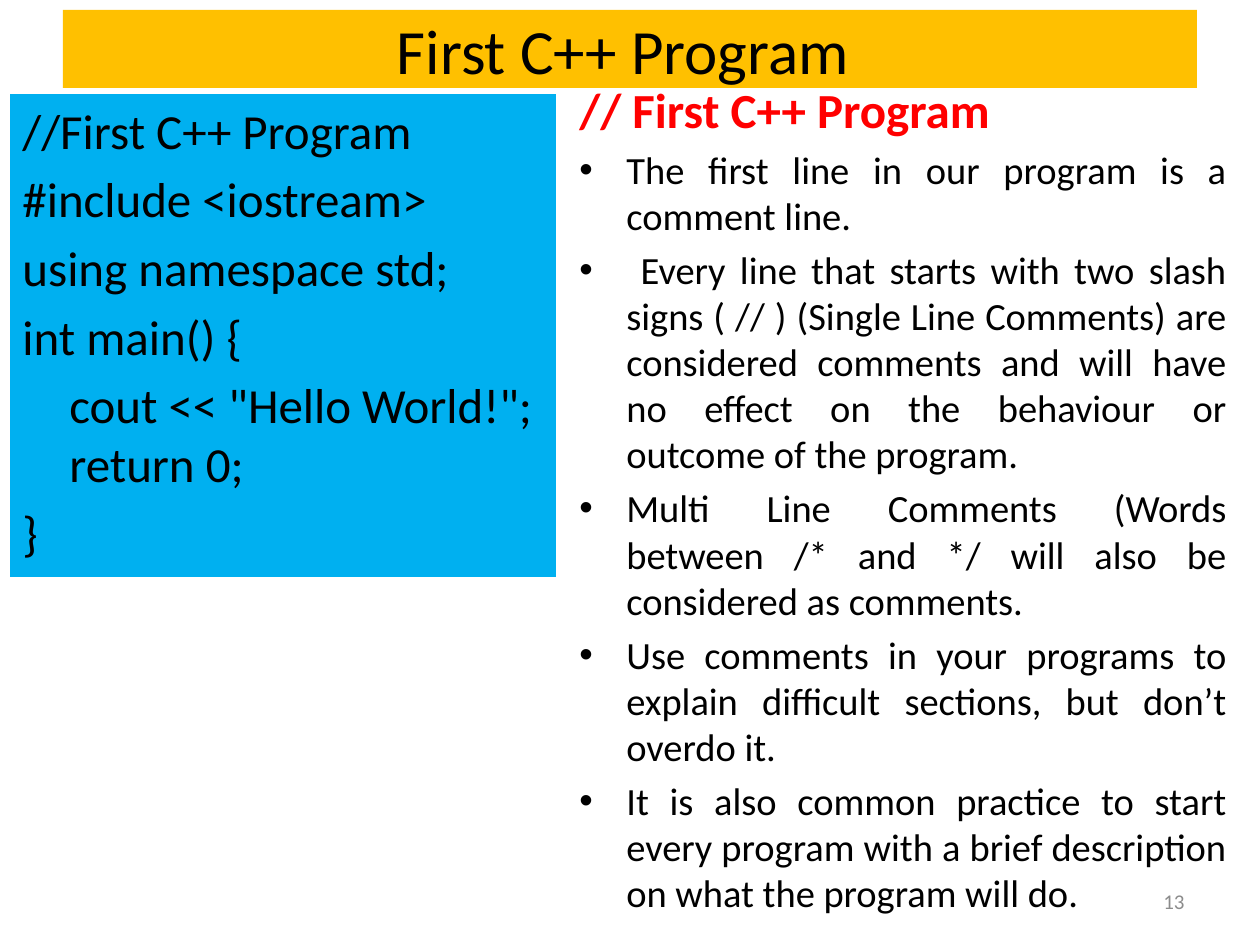
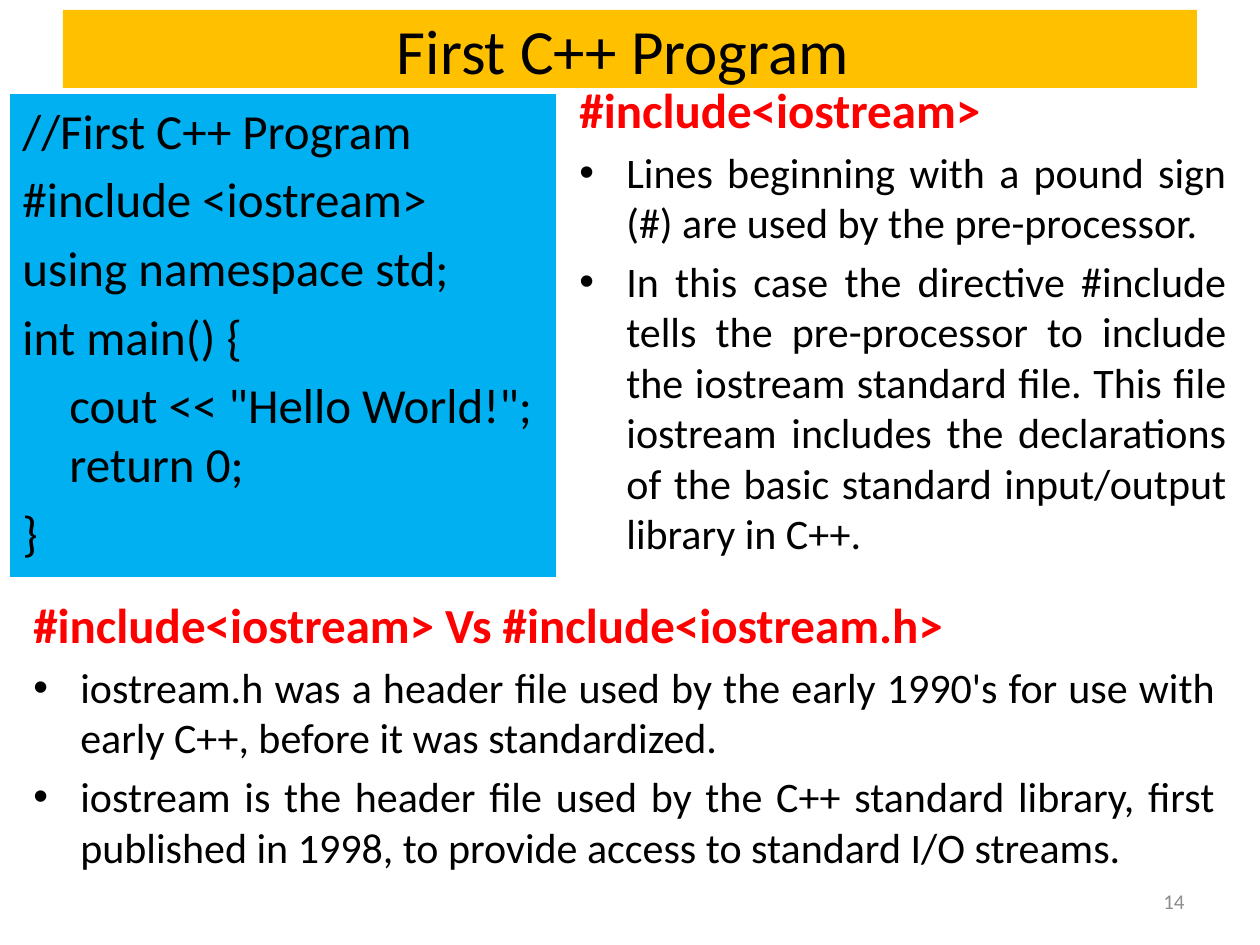
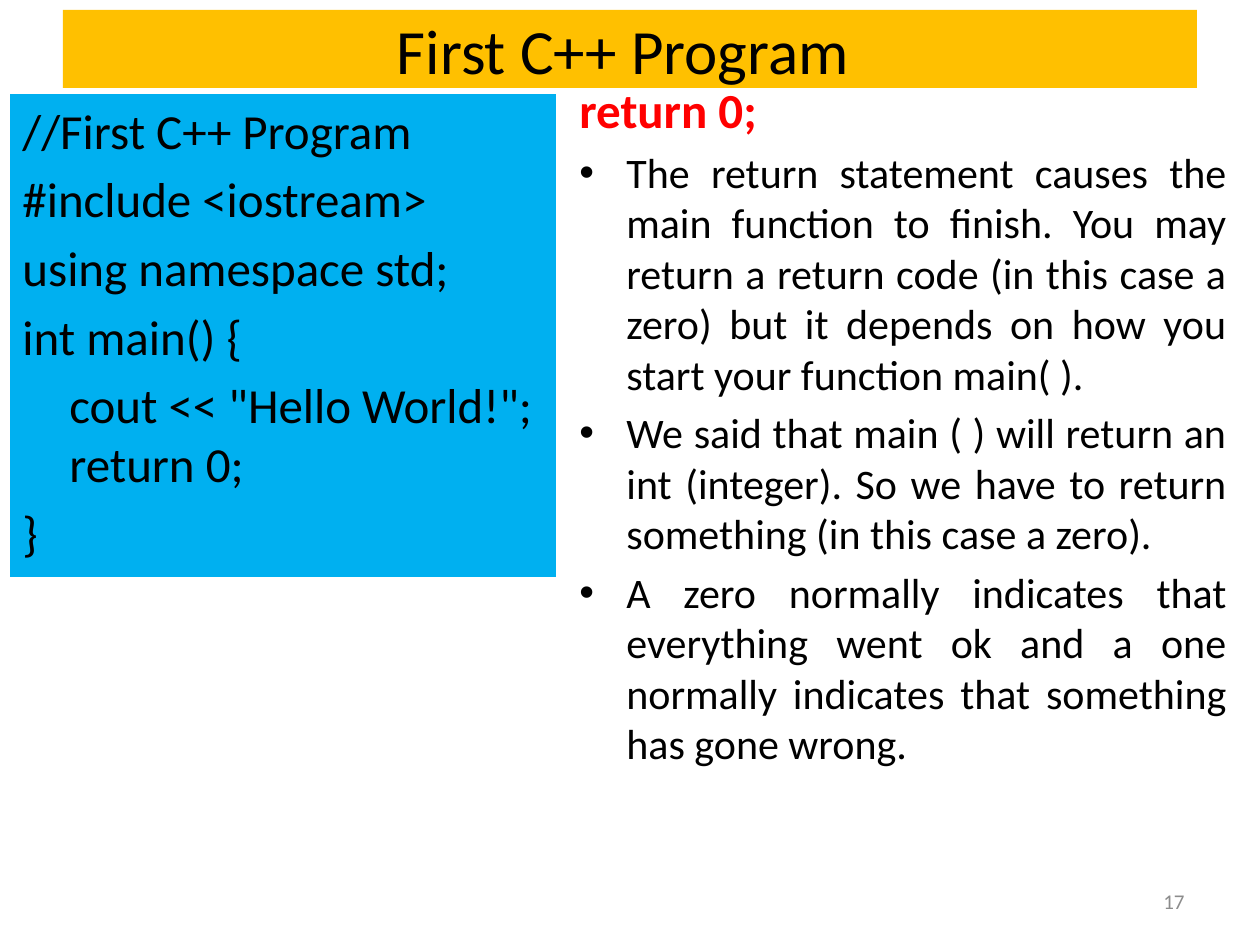
from lxml import etree
from pptx import Presentation
from pptx import util as u
from pptx.dml.color import RGBColor
from pptx.enum import shapes, text
from pptx.oxml.ns import qn

PX = u.Inches(1) / 126
FONT = "Calibri"
BLACK = RGBColor(0x00, 0x00, 0x00)
RED = RGBColor(0xFF, 0x00, 0x00)
GRAY = RGBColor(0x8C, 0x8C, 0x8C)
AMBER = RGBColor(0xFF, 0xC0, 0x00)
BLUE = RGBColor(0x00, 0xB0, 0xF0)
LEFT, CENTER, RIGHT, JUSTIFY = (
    text.PP_ALIGN.LEFT, text.PP_ALIGN.CENTER, text.PP_ALIGN.RIGHT, text.PP_ALIGN.JUSTIFY)
TOP, MIDDLE = text.MSO_ANCHOR.TOP, text.MSO_ANCHOR.MIDDLE

TITLE = "First C++ Program "
CODE = [
    "//First C++ Program",
    "#include <iostream>",
    "using namespace std;",
    "int main() {",
    "\tcout << \"Hello World!\";\nreturn 0;",
    "}",
]
TITLE_BOX = (63, 10, 1134, 78)
CODE_BOX = (10, 94, 546, 483)
NUMBER_BOX = (903, 876, 294, 50)
TALL_BOX = (567, 73, 672, 819)
SHORT_BOX = (567, 73, 672, 504)
WIDE_BOX = (21, 588, 1207, 336)

# Each slide: number and its notes (box, bullet size, heading, bullets).
SLIDES = [
    (13, [
        (TALL_BOX, 22, "// First C++ Program", [
            "The first line in our program is a comment line.",
            " Every line that starts with two slash signs ( // ) (Single Line Comments) are "
            "considered comments and will have no effect on the behaviour or outcome of the "
            "program. ",
            "Multi Line Comments (Words between /* and */ will also be considered as comments. ",
            "Use comments in your programs to explain difficult sections, but don’t overdo it. ",
            "It is also common practice to start every program with a brief description on what "
            "the program will do.",
        ]),
    ]),
    (14, [
        (SHORT_BOX, 24, "#include<iostream>", [
            "Lines beginning with a pound sign (#) are used by the pre-processor.",
            "In this case the directive #include tells the pre-processor to include the iostream "
            "standard file. This file iostream includes the declarations of the basic standard "
            "input/output library in C++.",
        ]),
        (WIDE_BOX, 24, "#include<iostream> Vs #include<iostream.h>", [
            "iostream.h was a header file used by the early 1990's for use with early C++, before "
            "it was standardized.",
            "iostream is the header file used by the C++ standard library, first published in "
            "1998, to provide access to standard I/O streams.",
        ]),
    ]),
    (17, [
        (SHORT_BOX, 24, "return 0; ", [
            "The return statement causes the main function to finish. You may return a return "
            "code (in this case a zero) but it depends on how you start your function main( ). ",
            "We said that main ( ) will return an int (integer). So we have to return something "
            "(in this case a zero). ",
            "A zero normally indicates that everything went ok and a one normally indicates that "
            "something has gone wrong.",
        ]),
    ]),
]


def add_box(slide, box, anchor, fill=None):
    """Add a text box, or a filled rectangle when a fill is given; return its text frame."""
    position = [u.Emu(round(length * PX)) for length in box]
    if fill is None:
        shape = slide.shapes.add_textbox(*position)
    else:
        shape = slide.shapes.add_shape(shapes.MSO_SHAPE.RECTANGLE, *position)
        shape.shadow.inherit = False
        shape.fill.solid()
        shape.fill.fore_color.rgb = fill
        shape.line.fill.background()
    shape.text_frame.word_wrap = True
    shape.text_frame.vertical_anchor = anchor
    return shape.text_frame


def write(paragraph, words, size, color=BLACK, align=LEFT, bold=False, hanging=False,
          bullet=False):
    paragraph.text = words
    paragraph.alignment = align
    for run in paragraph.runs:
        run.font.name = FONT
        run.font.size = u.Pt(size)
        run.font.bold = bold
        run.font.color.rgb = color
    properties = paragraph._p.get_or_add_pPr()
    if hanging:
        paragraph.space_before = u.Pt(size * 0.2)
        indent = round(47 * PX)
        properties.set("marL", str(indent))
        properties.set("indent", str(-indent))
    if bullet:
        etree.SubElement(properties, qn("a:buFont")).set("typeface", "Arial")
        etree.SubElement(properties, qn("a:buChar")).set("char", "•")


presentation = Presentation()
presentation.slide_width = u.Emu(round(1260 * PX))
presentation.slide_height = u.Emu(round(945 * PX))

for number, notes in SLIDES:
    slide = presentation.slides.add_slide(presentation.slide_layouts[6])

    title = add_box(slide, TITLE_BOX, MIDDLE, AMBER)
    write(title.paragraphs[0], TITLE, 36, align=CENTER)

    for box, size, heading, bullets in notes:
        frame = add_box(slide, box, TOP)
        write(frame.paragraphs[0], heading, 28, RED, JUSTIFY, bold=True, hanging=True)
        for words in bullets:
            write(frame.add_paragraph(), words, size, align=JUSTIFY, hanging=True, bullet=True)

    page_number = add_box(slide, NUMBER_BOX, MIDDLE)
    write(page_number.paragraphs[0], str(number), 12, GRAY, RIGHT)

    code = add_box(slide, CODE_BOX, TOP, BLUE)
    for index, line in enumerate(CODE):
        paragraph = code.add_paragraph() if index else code.paragraphs[0]
        write(paragraph, line, 28, hanging=True)

presentation.save("out.pptx")
